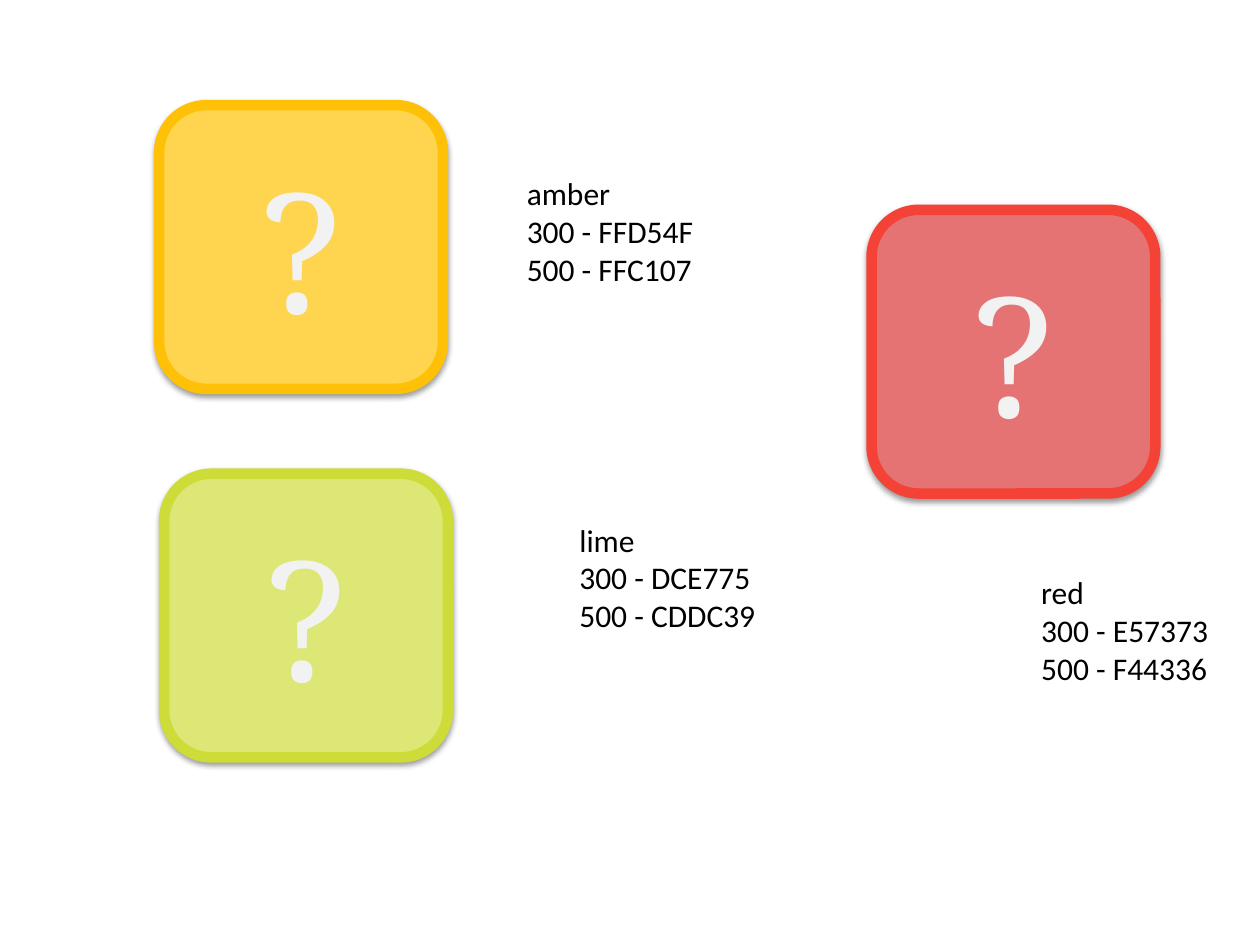
import pptx
import pptx.util
import pptx.dml.color
import pptx.enum.shapes
import pptx.enum.text
import lxml.etree
from pptx.util import Cm, Pt

NS = "http://schemas.openxmlformats.org/drawingml/2006/main"
SHADOW = f"""<a:outerShdw xmlns:a="{NS}" blurRad="40000" dist="20000" dir="5400000"
    rotWithShape="0"><a:srgbClr val="000000"><a:alpha val="38000"/></a:srgbClr></a:outerShdw>"""


def rgb(value):
    return pptx.dml.color.RGBColor.from_string(value)


def write(p, text, color, **font):
    r = p.add_run()
    r.text = text
    r.font.color.rgb = rgb(color)
    for key, value in font.items():
        setattr(r.font, key, value)


prs = pptx.Presentation()
prs.slide_width, prs.slide_height = Cm(25.4), Cm(19.05)
s = prs.slides.add_slide(prs.slide_layouts[6])

# Name, shade 300, shade 500, tile left and top, label left, top and width (cm)
swatches = [
    ("amber", "FFD54F", "FFC107", 3.21, 2.12, 10.37, 3.39, 3.91),
    ("lime", "DCE775", "CDDC39", 3.31, 9.55, 11.43, 10.37, 4.11),
    ("red", "E57373", "F44336", 17.57, 4.23, 20.74, 11.43, 3.91),
]
tile_size = Cm(5.72)

for name, light, dark, x, y, label_x, label_y, label_w in swatches:
    # Question tile: light fill, dark border, soft shadow
    sp = s.shapes.add_shape(pptx.enum.shapes.MSO_SHAPE.ROUNDED_RECTANGLE,
                            Cm(x), Cm(y), tile_size, tile_size)
    sp.fill.solid()
    sp.fill.fore_color.rgb = rgb(light)
    sp.line.color.rgb = rgb(dark)
    sp.line.width = Pt(6)
    sp.shadow.inherit = False
    effects = sp._element.spPr.find(f"{{{NS}}}effectLst")
    effects.append(lxml.etree.fromstring(SHADOW))
    tf = sp.text_frame
    tf.vertical_anchor = pptx.enum.text.MSO_ANCHOR.MIDDLE
    p = tf.paragraphs[0]
    p.alignment = pptx.enum.text.PP_ALIGN.CENTER
    write(p, "?", "F2F2F2", size=Pt(96), name="Noto Serif")

    # Label with the colour codes
    sp = s.shapes.add_textbox(Cm(label_x), Cm(label_y), Cm(label_w), Cm(2.57))
    tf = sp.text_frame
    tf.word_wrap = False
    tf.auto_size = pptx.enum.text.MSO_AUTO_SIZE.SHAPE_TO_FIT_TEXT
    for i, text in enumerate([name, f"300 - {light}", f"500 - {dark}"]):
        p = tf.add_paragraph() if i else tf.paragraphs[0]
        write(p, text, "000000", size=Pt(18), name="Calibri")

prs.save("out.pptx")
